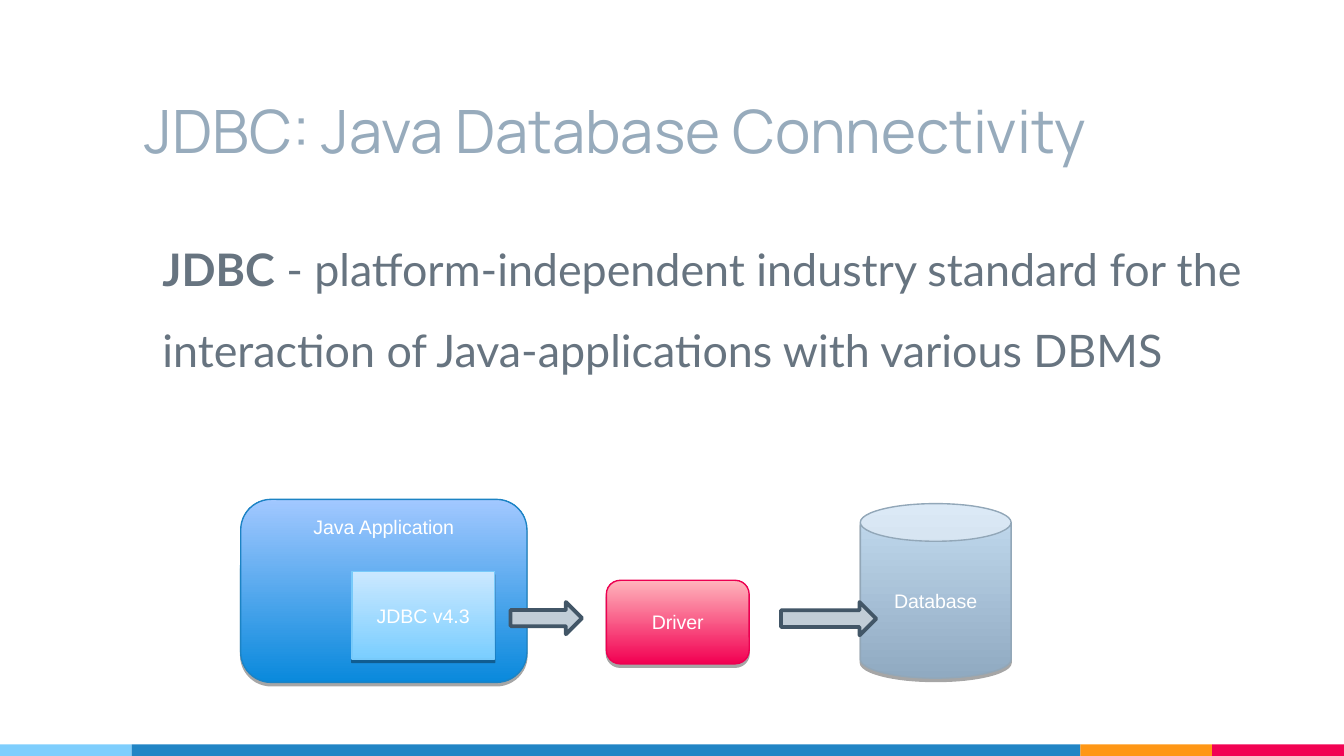
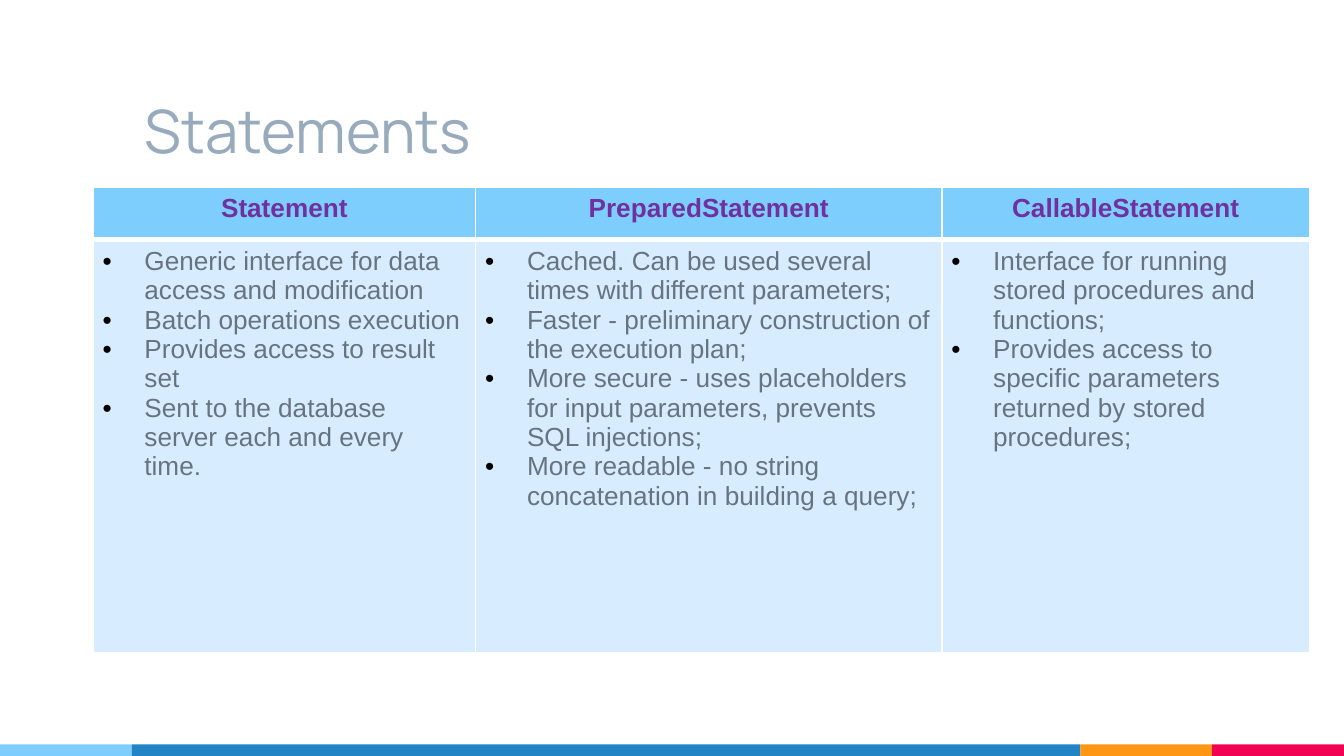
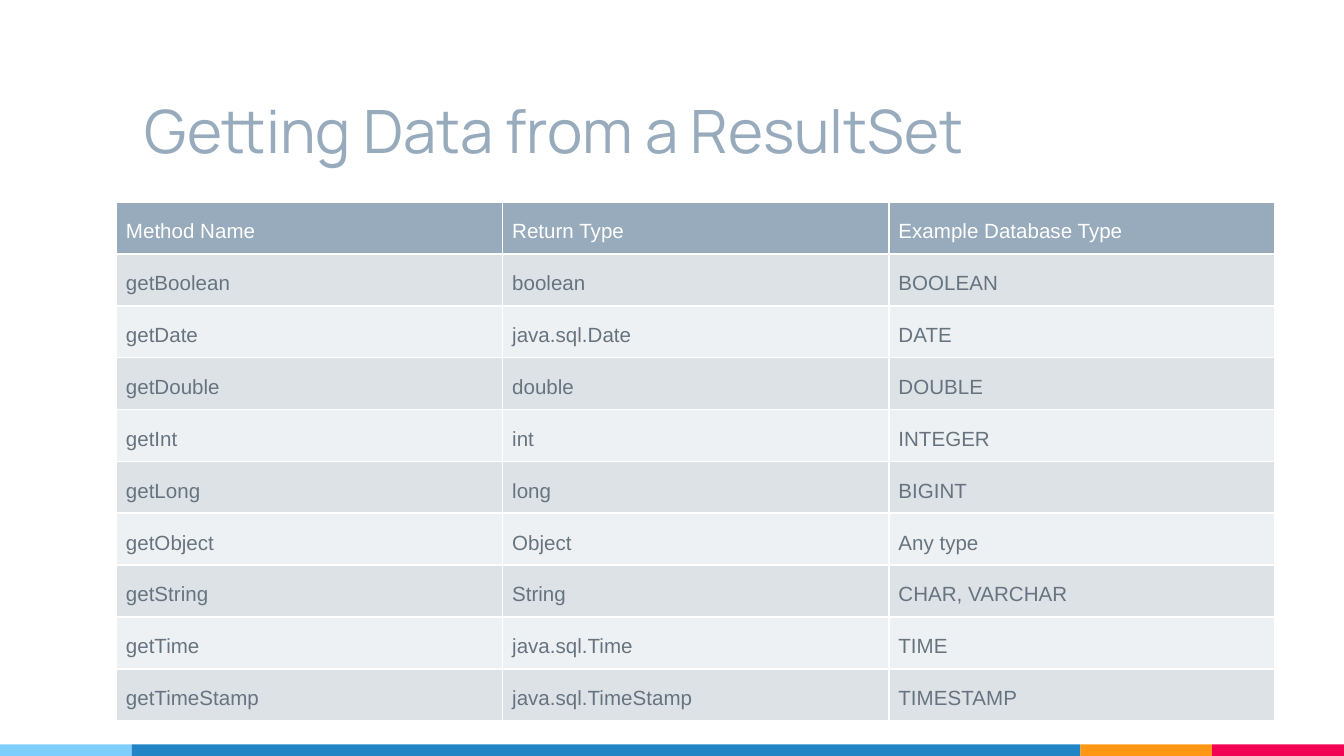
from dataclasses import dataclass

from lxml.etree import SubElement
from pptx import Presentation
from pptx.dml.color import RGBColor
from pptx.enum.shapes import MSO_SHAPE
from pptx.enum.text import MSO_ANCHOR, PP_ALIGN
from pptx.oxml.ns import qn
from pptx.util import Cm, Pt


@dataclass(frozen=True)
class Theme:
    white: str = "FFFFFF"
    black: str = "000000"
    steel: str = "97ABBC"
    slate: str = "677480"
    sky: str = "7ECEFD"
    pale: str = "D7ECFE"
    blue: str = "2185C5"
    orange: str = "FF9715"
    red: str = "F20253"
    purple: str = "7030A0"
    odd: str = "DDE2E7"
    even: str = "EEF1F3"
    arrow: str = "C1CDD7"
    edge: str = "425667"
    app: tuple = ("0989DC", "A2C8FF", "1C83C4")
    api: tuple = ("7ACEFF", "CBE8FF", "78CAFA")
    driver: tuple = ("F20052", "FFB5BC", "EC0051")
    store: tuple = ("90AAC1", "C3DBF0", "92A7B8")
    head: str = "Manrope"
    body: str = "Lato"
    plain: str = "Arial"
    title: float = 32
    lead: float = 24
    list: float = 14
    grid: float = 11
    label: float = 10.5
    thin: float = 0.96
    thick: float = 3


def paint(fill, color):
    fill.solid()
    fill.fore_color.rgb = RGBColor.from_string(color)


def style(part, face, size, color, bold=False):
    for run in part.runs:
        font = run.font
        font.name, font.size, font.bold = face, Pt(size), bold
        font.color.rgb = RGBColor.from_string(color)


def indent(part, left, first):
    props = part._p.get_or_add_pPr()
    props.set("marL", str(Cm(left)))
    props.set("indent", str(Cm(first)))
    return props


class Deck:
    def __init__(self, theme):
        self.theme = theme
        self.show = Presentation()
        self.show.slide_width, self.show.slide_height = Cm(25.4), Cm(14.29)
        self.slide = None

    def page(self, title, width=17.95):
        self.slide = self.show.slides.add_slide(self.show.slide_layouts[6])
        self.band()
        frame = self.box(2.49, 0.99, width, 2.39)
        frame.vertical_anchor = MSO_ANCHOR.BOTTOM
        frame.text = title
        look = self.theme
        style(frame.paragraphs[0], look.head, look.title, look.steel)

    def band(self):
        look, left = self.theme, 0
        parts = ((look.sky, 2.49), (look.blue, 17.93), (look.orange, 2.49), (look.red, 2.49))
        for color, width in parts:
            bar = self.shape(MSO_SHAPE.RECTANGLE, left, 14.07, width, 0.22)
            paint(bar.fill, color)
            bar.line.fill.background()
            left += width

    def box(self, *place):
        frame = self.slide.shapes.add_textbox(*map(Cm, place)).text_frame
        frame.word_wrap = True
        frame.margin_left = frame.margin_right = Cm(0.25)
        frame.margin_top = frame.margin_bottom = Cm(0.25)
        return frame

    def shape(self, kind, *place):
        shape = self.slide.shapes.add_shape(kind, *map(Cm, place))
        shape.shadow.inherit = False
        return shape

    def lead(self, term, rest, *place):
        look = self.theme
        part = self.box(*place).paragraphs[0]
        for text in (term, rest):
            part.add_run().text = text
        style(part, look.body, look.lead, look.slate)
        part.runs[0].font.bold = True
        part.line_spacing, part.space_before = 1.5, Pt(6)
        indent(part, 0.33, 0)

    def node(self, text, kind, colors, *place, anchor=MSO_ANCHOR.MIDDLE):
        look = self.theme
        low, high, edge = colors
        shape = self.shape(kind, *place)
        shape.fill.gradient()
        shape.fill.gradient_angle = 90
        for stop, color in zip(shape.fill.gradient_stops, (low, high)):
            stop.color.rgb = RGBColor.from_string(color)
        paint(shape.line.fill, edge)
        shape.line.width = Pt(0.75)
        self.shade(shape)
        frame = shape.text_frame
        frame.vertical_anchor = anchor
        frame.text = text
        part = frame.paragraphs[0]
        part.alignment = PP_ALIGN.CENTER
        style(part, look.plain, look.label, look.white)

    def shade(self, shape):
        group = shape._element.spPr.find(qn("a:effectLst"))
        outer = SubElement(group, qn("a:outerShdw"), blurRad="0", dist=str(Pt(1.8)),
                           dir="5400000", rotWithShape="0")
        color = SubElement(outer, qn("a:srgbClr"), val=self.theme.black)
        SubElement(color, qn("a:alpha"), val="35000")

    def arrow(self, *place):
        shape = self.shape(MSO_SHAPE.RIGHT_ARROW, *place)
        paint(shape.fill, self.theme.arrow)
        paint(shape.line.fill, self.theme.edge)
        shape.line.width = Pt(2)

    def table(self, left, top, widths, heights):
        place = map(Cm, (left, top, sum(widths), sum(heights)))
        table = self.slide.shapes.add_table(len(heights), len(widths), *place).table
        table.first_row = table.horz_banding = False
        for column, width in zip(table.columns, widths):
            column.width = Cm(width)
        for row, height in zip(table.rows, heights):
            row.height = Cm(height)
        return table

    def cell(self, cell, text, fill, size, color, bold=False, top=None, base=None):
        look = self.theme
        cell.margin_left = cell.margin_right = Cm(0.18)
        cell.margin_top = cell.margin_bottom = Cm(0.13)
        paint(cell.fill, fill)
        self.edges(cell, top or look.thin, base or look.thin)
        cell.text_frame.text = text
        parts = cell.text_frame.paragraphs
        for part in parts:
            style(part, look.plain, size, color, bold)
        return parts

    def edges(self, cell, top, base):
        look = self.theme
        props = cell._tc.get_or_add_tcPr()
        sides = (("L", look.thin), ("R", look.thin), ("T", top), ("B", base))
        for spot, (side, width) in enumerate(sides):
            line = SubElement(props, qn("a:ln" + side), w=str(Pt(width)))
            fill = SubElement(line, qn("a:solidFill"))
            SubElement(fill, qn("a:srgbClr"), val=look.white)
            props.insert(spot, line)

    def bullet(self, part):
        props = indent(part, 0.79, -0.79)
        color = SubElement(props, qn("a:buClr"))
        SubElement(color, qn("a:srgbClr"), val=self.theme.black)
        SubElement(props, qn("a:buFont"), typeface=self.theme.plain)
        SubElement(props, qn("a:buChar"), char="•")

    def lists(self, left, top, widths, heights, groups):
        look = self.theme
        table = self.table(left, top, widths, heights)
        for col, (name, items) in enumerate(groups.items()):
            head = self.cell(table.cell(0, col), name, look.sky, look.list,
                             look.purple, True, base=look.thick)
            head[0].alignment = PP_ALIGN.CENTER
            for part in self.cell(table.cell(1, col), "\n".join(items), look.pale,
                                  look.list, look.slate, top=look.thick):
                self.bullet(part)

    def grid(self, left, top, width, height, rows):
        look = self.theme
        table = self.table(left, top, [width] * len(rows[0]), [height] * len(rows))
        for r, row in enumerate(rows):
            fill = look.odd if r % 2 else look.even
            color = look.slate
            if r == 0:
                fill, color = look.steel, look.white
            for c, text in enumerate(row):
                parts = self.cell(table.cell(r, c), text, fill, look.grid, color)
                parts[0].line_spacing = 1.5


KINDS = {
    "Statement": (
        "Generic interface for data access and modification",
        "Batch operations execution",
        "Provides access to result set",
        "Sent to the database server each and every time.",
    ),
    "PreparedStatement": (
        "Cached. Can be used several times with different parameters;",
        "Faster - preliminary construction of the execution plan;",
        "More secure - uses placeholders for input parameters, prevents SQL injections;",
        "More readable - no string concatenation in building a query;",
    ),
    "CallableStatement": (
        "Interface for running stored procedures and functions;",
        "Provides access to specific parameters returned by stored procedures;",
    ),
}

GETTERS = (
    ("Method Name", "Return Type", "Example Database Type"),
    ("getBoolean", "boolean", "BOOLEAN"),
    ("getDate", "java.sql.Date", "DATE"),
    ("getDouble", "double", "DOUBLE"),
    ("getInt", "int", "INTEGER"),
    ("getLong", "long", "BIGINT"),
    ("getObject", "Object", "Any type"),
    ("getString", "String", "CHAR, VARCHAR"),
    ("getTime", "java.sql.Time", "TIME"),
    ("getTimeStamp", "java.sql.TimeStamp", "TIMESTAMP"),
)


def main():
    look = Theme()
    deck = Deck(look)

    deck.page("JDBC: Java Database Connectivity", 20.55)
    deck.lead("JDBC", " - platform-independent industry standard for the interaction "
              "of Java-applications with various DBMS", 2.49, 3.81, 22.05, 9.86)
    deck.node("Java Application", MSO_SHAPE.ROUNDED_RECTANGLE, look.app,
              4.55, 9.44, 5.41, 3.46, anchor=MSO_ANCHOR.TOP)
    deck.node("JDBC v4.3", MSO_SHAPE.RECTANGLE, look.api, 6.65, 10.8, 2.7, 1.66)
    deck.node("Driver", MSO_SHAPE.ROUNDED_RECTANGLE, look.driver, 11.46, 10.97, 2.7, 1.58)
    deck.node("Database", MSO_SHAPE.CAN, look.store, 16.26, 9.52, 2.85, 3.3)
    deck.arrow(9.65, 11.38, 1.35, 0.61)
    deck.arrow(14.76, 11.38, 1.8, 0.63)

    deck.page("Statements")
    deck.lists(1.76, 3.53, (7.23, 8.81, 6.95), (1, 7.81), KINDS)

    deck.page("Getting Data from a ResultSet")
    deck.grid(2.2, 3.82, 7.3, 0.98, GETTERS)

    deck.show.save("out.pptx")


if __name__ == "__main__":
    main()
